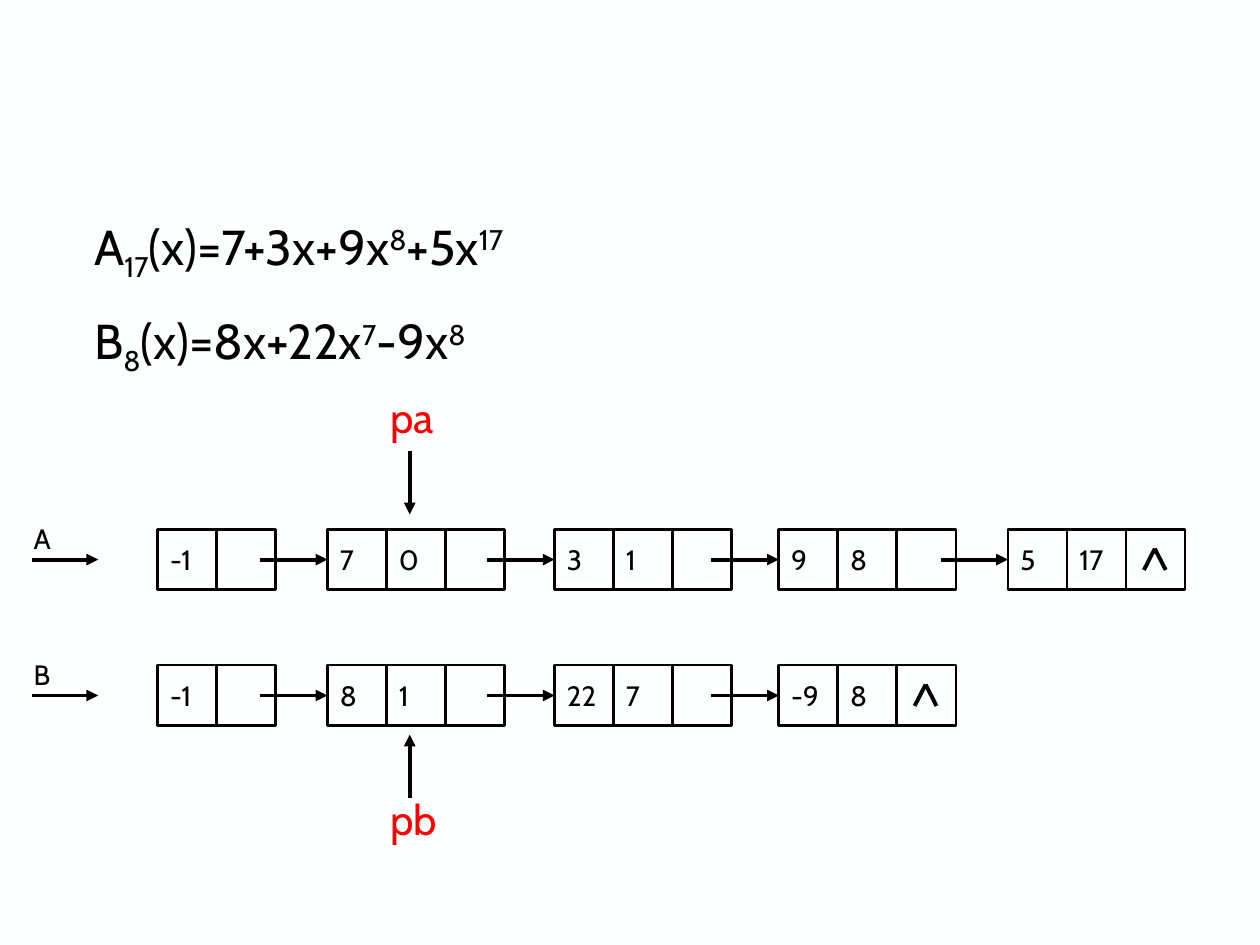
from lxml.etree import SubElement
from pptx import Presentation
from pptx.dml.color import RGBColor
from pptx.enum.shapes import MSO_CONNECTOR, MSO_SHAPE
from pptx.enum.text import MSO_ANCHOR, MSO_AUTO_SIZE, PP_ALIGN
from pptx.oxml.ns import qn
from pptx.util import Cm, Pt

BLACK = RGBColor(0x00, 0x00, 0x00)
RED = RGBColor(0xFF, 0x00, 0x00)
PAPER = RGBColor(0xFE, 0xFF, 0xFF)
FONT = "Cabin"
SUB, SUP = -25000, 30000

# Node grid, in cm
NODE_LEFTS = [3.18, 6.6, 11.18, 15.7, 20.32]
CELL_W, CELL_H = 1.19, 1.22
LINK = 1.36


def write(tf, text, size=16, color=BLACK, wrap=False):
    """Fill a frame with a string, or with a list of (text, baseline) runs."""
    tf.word_wrap = wrap
    p = tf.paragraphs[0]
    p.alignment = PP_ALIGN.LEFT
    for part, baseline in [(text, 0)] if isinstance(text, str) else text:
        r = p.add_run()
        r.text = part
        r.font.name, r.font.size, r.font.color.rgb = FONT, Pt(size), color
        if baseline:
            r._r.get_or_add_rPr().set("baseline", str(baseline))


def add_label(s, left, top, width, height, text, **fmt):
    tf = s.shapes.add_textbox(Cm(left), Cm(top), Cm(width), Cm(height)).text_frame
    write(tf, text, **fmt)
    tf.auto_size = MSO_AUTO_SIZE.SHAPE_TO_FIT_TEXT


def add_line(s, x1, y1, x2, y2, arrow=True):
    line = s.shapes.add_connector(MSO_CONNECTOR.STRAIGHT, Cm(x1), Cm(y1), Cm(x2), Cm(y2))
    line.line.width = Pt(2.25)
    line.line.color.rgb = BLACK
    if arrow:
        SubElement(line.line._get_or_add_ln(), qn("a:tailEnd"), type="triangle")
    SubElement(line._element.spPr, qn("a:effectLst"))
    return line


def add_cell(s, left, top, text):
    cell = s.shapes.add_shape(MSO_SHAPE.RECTANGLE, Cm(left), Cm(top), Cm(CELL_W), Cm(CELL_H))
    cell.shadow.inherit = False
    cell.fill.background()
    cell.line.color.rgb = BLACK
    cell.line.width = Pt(1.5)
    if text:
        cell.text_frame.vertical_anchor = MSO_ANCHOR.MIDDLE
        write(cell.text_frame, text)
    return cell


def add_list(s, top, name, nodes):
    """Linked list: head arrow, nodes with an empty link cell, null mark."""
    middle = top + CELL_H / 2
    add_label(s, 0.43, top - 0.28, 0.86, 0.94, name)
    add_line(s, 0.64, middle, 1.98, middle)
    for i, (left, values) in enumerate(zip(NODE_LEFTS, nodes)):
        cells = [add_cell(s, left + j * CELL_W, top, value)
                 for j, value in enumerate([*values, ""])]
        if i:
            link = add_line(s, left - LINK, middle, left, middle)
            link.end_connect(cells[0], 1)
    # Null mark in the last link cell
    tip_x = left + len(values) * CELL_W + 0.58
    for dx in (-0.22, 0.22):
        add_line(s, tip_x, top + 0.39, tip_x + dx, top + 0.82, arrow=False)


def add_formulas(s, left, top):
    formulas = [
        [("A", 0), ("17", SUB), ("(x)=7+3x+9x", 0), ("8", SUP), ("+5x", 0), ("17", SUP)],
        [("B", 0), ("8", SUB), ("(x)=8x+22x", 0), ("7", SUP), ("-9x", 0), ("8", SUP)],
    ]
    for i, runs in enumerate(formulas):
        add_label(s, left, top + i * 1.9, 11.25, 1.45, runs, size=28, wrap=True)


def add_pointer(s, label_top, name, start, end):
    add_label(s, 7.62, label_top, 1.6, 1.27, name, size=24, color=RED)
    add_line(s, 8.26, start, 8.26, end)


def main():
    prs = Presentation()
    prs.slide_width, prs.slide_height = Cm(25.4), Cm(19.05)
    s = prs.slides.add_slide(prs.slide_layouts[6])
    s.background.fill.solid()
    s.background.fill.fore_color.rgb = PAPER

    add_formulas(s, 1.65, 4.24)
    add_list(s, 10.67, "A", [["-1"], ["7", "0"], ["3", "1"], ["9", "8"], ["5", "17"]])
    add_list(s, 13.41, "B", [["-1"], ["8", "1"], ["22", "7"], ["-9", "8"]])
    add_pointer(s, 7.77, "pa", 9.1, 10.37)
    add_pointer(s, 15.88, "pb", 16.08, 14.81)

    prs.save("out.pptx")


if __name__ == "__main__":
    main()
